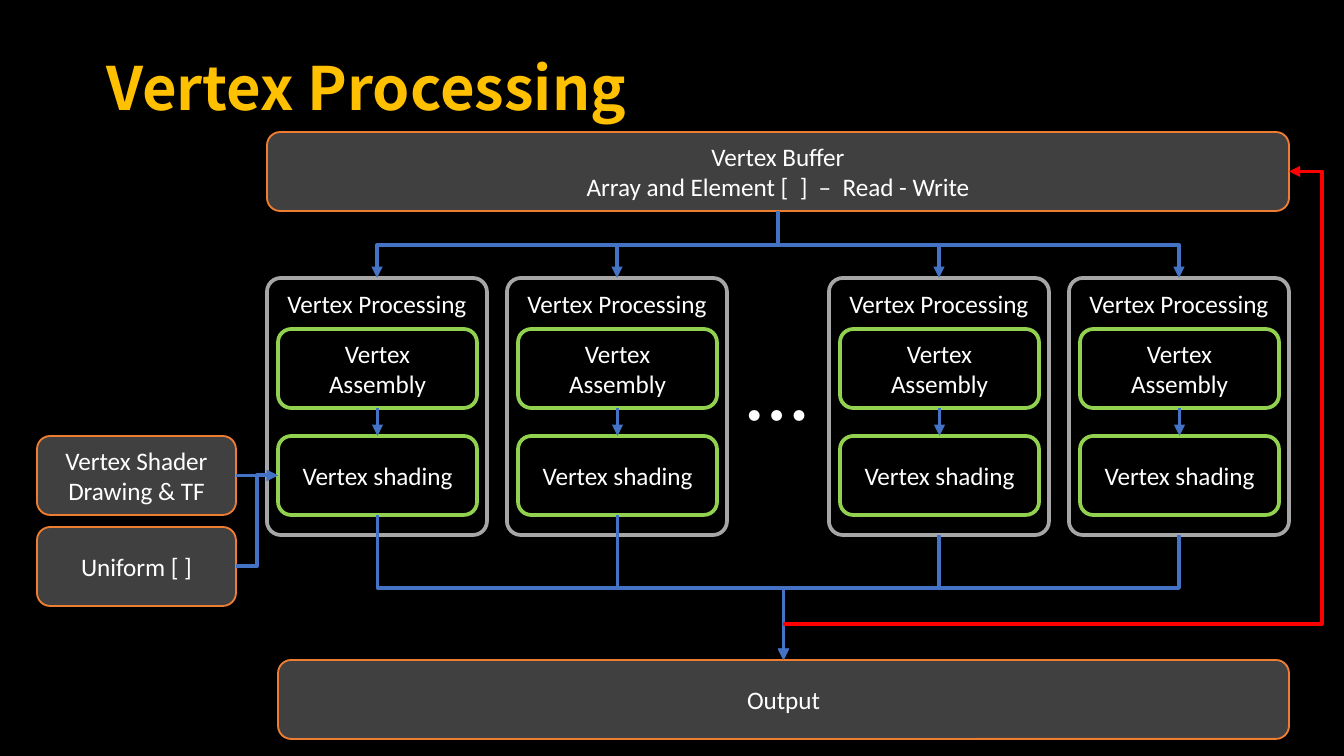
from dataclasses import dataclass

from lxml import etree
from pptx import Presentation
from pptx.dml.color import RGBColor
from pptx.enum.shapes import MSO_CONNECTOR, MSO_SHAPE
from pptx.enum.text import MSO_ANCHOR, PP_ALIGN
from pptx.oxml.ns import qn
from pptx.util import Pt

ROUNDED = MSO_SHAPE.ROUNDED_RECTANGLE
STRAIGHT, ELBOW = MSO_CONNECTOR.STRAIGHT, MSO_CONNECTOR.ELBOW
TOP, MIDDLE = MSO_ANCHOR.TOP, MSO_ANCHOR.MIDDLE
LEFT, CENTER = PP_ALIGN.LEFT, PP_ALIGN.CENTER
SIDE_TOP, SIDE_LEFT, SIDE_BOTTOM, SIDE_RIGHT = range(4)
EMU_PER_PX = 914400 / 134.4


@dataclass(frozen=True)
class Theme:
    background: str = "000000"
    panel: str = "404040"
    panel_line: str = "ED7D31"
    frame_line: str = "A6A6A6"
    stage_line: str = "92D050"
    flow: str = "4472C4"
    feedback: str = "FF0000"
    title: str = "FFC000"
    text: str = "FFFFFF"
    body_font: str = "Calibri"
    display_font: str = "Noto Sans CJK KR"
    body_size: float = 13.5
    title_size: float = 32
    dots_size: float = 36


@dataclass(frozen=True)
class Style:
    fill: str
    line: str
    weight: float
    anchor: MSO_ANCHOR = MIDDLE
    corner: float = 0.167


@dataclass(frozen=True)
class Box:
    label: str
    left: int
    top: int
    width: int
    height: int

    @property
    def center(self) -> float:
        return self.left + self.width / 2

    @property
    def middle(self) -> float:
        return self.top + self.height / 2

    @property
    def bottom(self) -> int:
        return self.top + self.height

    @property
    def right(self) -> int:
        return self.left + self.width


THEME = Theme()
PANEL = Style(THEME.panel, THEME.panel_line, 1)
FRAME = Style(THEME.background, THEME.frame_line, 2, TOP, 0.063)
STAGE = Style(THEME.background, THEME.stage_line, 2)

# Layout, in px
BOX_WIDTH, BOX_HEIGHT = 199, 79
FRAME_TOP, FRAME_WIDTH, FRAME_HEIGHT = 278, 220, 257
STAGE_INSET, ASSEMBLY_TOP, SHADING_TOP = 11, 329, 436
COLUMN_LEFTS = (267, 507, 829, 1069)
FORK_Y, MERGE_Y = 245, 588
FEEDBACK_X, FEEDBACK_Y = 1322, 624
BUFFER = Box("Vertex Buffer\nArray and Element [  ]  –  Read - Write", 267, 132, 1022, BOX_HEIGHT)
SHADER = Box("Vertex Shader\nDrawing & TF", 37, SHADING_TOP, BOX_WIDTH, BOX_HEIGHT)
UNIFORM = Box("Uniform [ ]", 37, 527, BOX_WIDTH, BOX_HEIGHT)
OUTPUT = Box("Output", 278, 660, 1011, BOX_HEIGHT)
TITLE = Box("Vertex Processing", 93, 40, 1158, 102)
DOTS = Box("…", 730, 368, 92, 95)


def px(length: float) -> int:
    return round(length * EMU_PER_PX)


def place(box: Box) -> tuple:
    return px(box.left), px(box.top), px(box.width), px(box.height)


def write(para, text: str, size: float, color: str, font: str, bold: bool = False) -> None:
    for number, line in enumerate(text.split("\n")):
        if number:
            para.add_line_break()
        span = para.add_run()
        span.text = line
        span.font.size = Pt(size)
        span.font.bold = bold
        span.font.name = font
        span.font.color.rgb = RGBColor.from_string(color)
        east_asian = etree.SubElement(span.font._element, qn("a:ea"))
        east_asian.set("typeface", font)


def draw_box(slide, box: Box, style: Style):
    shape = slide.shapes.add_shape(ROUNDED, *place(box))
    shape.shadow.inherit = False
    shape.adjustments[0] = style.corner
    shape.fill.solid()
    shape.fill.fore_color.rgb = RGBColor.from_string(style.fill)
    shape.line.color.rgb = RGBColor.from_string(style.line)
    shape.line.width = Pt(style.weight)
    frame = shape.text_frame
    frame.word_wrap = True
    frame.vertical_anchor = style.anchor
    para = frame.paragraphs[0]
    para.alignment = CENTER
    write(para, box.label, THEME.body_size, THEME.text, THEME.body_font)
    return shape


def draw_text(slide, box: Box, size: float, color: str, anchor: MSO_ANCHOR, wrap: bool):
    frame = slide.shapes.add_textbox(*place(box)).text_frame
    frame.word_wrap = wrap
    frame.vertical_anchor = anchor
    para = frame.paragraphs[0]
    para.alignment = LEFT
    write(para, box.label, size, color, THEME.display_font, bold=True)
    return para


def draw_arrow(slide, kind: MSO_CONNECTOR, start: tuple, end: tuple, color: str):
    arrow = slide.shapes.add_connector(kind, *map(px, start + end))
    arrow.line.color.rgb = RGBColor.from_string(color)
    arrow.line.width = Pt(2)
    etree.SubElement(arrow.line._get_or_add_ln(), qn("a:tailEnd")).set("type", "triangle")
    etree.SubElement(arrow._element.spPr, qn("a:effectLst"))
    return arrow


def join(slide, source, source_side: int, target, target_side: int) -> None:
    arrow = draw_arrow(slide, STRAIGHT, (0, 0), (1, 1), THEME.flow)
    arrow.begin_connect(source, source_side)
    arrow.end_connect(target, target_side)


def bend_at(arrow, fraction: float) -> None:
    guides = arrow._element.spPr.find(qn("a:prstGeom")).find(qn("a:avLst"))
    guide = etree.SubElement(guides, qn("a:gd"))
    guide.set("name", "adj1")
    guide.set("fmla", f"val {round(fraction * 100000)}")


def elbow_across(slide, start: tuple, end: tuple, bend_x: float, color: str) -> None:
    arrow = draw_arrow(slide, ELBOW, start, end, color)
    bend_at(arrow, (bend_x - start[0]) / (end[0] - start[0]))


def elbow_down(slide, start: tuple, end: tuple, bend_y: float) -> None:
    # A quarter turn about the centre makes the first leg vertical
    (x1, y1), (x2, y2) = start, end
    mid_x, mid_y = (x1 + x2) / 2, (y1 + y2) / 2
    half_x, half_y = (x2 - x1) / 2, (y2 - y1) / 2
    arrow = draw_arrow(slide, ELBOW, (mid_x - half_y, mid_y + half_x),
                       (mid_x + half_y, mid_y - half_x), THEME.flow)
    arrow._element.spPr.find(qn("a:xfrm")).set("rot", "5400000")
    bend_at(arrow, (bend_y - y1) / (y2 - y1))


def main() -> None:
    deck = Presentation()
    deck.slide_width, deck.slide_height = px(1344), px(756)
    slide = deck.slides.add_slide(deck.slide_layouts[6])
    slide.background.fill.solid()
    slide.background.fill.fore_color.rgb = RGBColor.from_string(THEME.background)

    # Title and the panels around the pipeline
    title = draw_text(slide, TITLE, THEME.title_size, THEME.title, MIDDLE, True)
    title.line_spacing = 0.9
    for panel in (BUFFER, UNIFORM, OUTPUT):
        draw_box(slide, panel, PANEL)
    shader_shape = draw_box(slide, SHADER, PANEL)

    # Parallel processors, fed by the buffer and merged into the output
    for number, left in enumerate(COLUMN_LEFTS):
        frame = Box("Vertex Processing", left, FRAME_TOP, FRAME_WIDTH, FRAME_HEIGHT)
        inner = left + STAGE_INSET
        assembly = Box("Vertex Assembly", inner, ASSEMBLY_TOP, BOX_WIDTH, BOX_HEIGHT)
        shading = Box("Vertex shading", inner, SHADING_TOP, BOX_WIDTH, BOX_HEIGHT)
        draw_box(slide, frame, FRAME)
        assembly_shape = draw_box(slide, assembly, STAGE)
        shading_shape = draw_box(slide, shading, STAGE)
        join(slide, assembly_shape, SIDE_BOTTOM, shading_shape, SIDE_TOP)
        elbow_down(slide, (BUFFER.center, BUFFER.bottom), (frame.center, frame.top), FORK_Y)
        source = shading if number < 2 else frame
        elbow_down(slide, (source.center, source.bottom), (OUTPUT.center, OUTPUT.top), MERGE_Y)

        # Shader program and uniforms enter the first processor
        if number == 0:
            join(slide, shader_shape, SIDE_RIGHT, shading_shape, SIDE_LEFT)
            elbow_across(slide, (UNIFORM.right, UNIFORM.middle),
                         (shading.left, shading.middle),
                         (UNIFORM.right + shading.left) / 2, THEME.flow)

    # Omitted processors and the feedback loop
    draw_text(slide, DOTS, THEME.dots_size, THEME.text, TOP, False)
    elbow_across(slide, (OUTPUT.center, FEEDBACK_Y), (BUFFER.right, BUFFER.middle),
                 FEEDBACK_X, THEME.feedback)
    deck.save("out.pptx")


if __name__ == "__main__":
    main()
